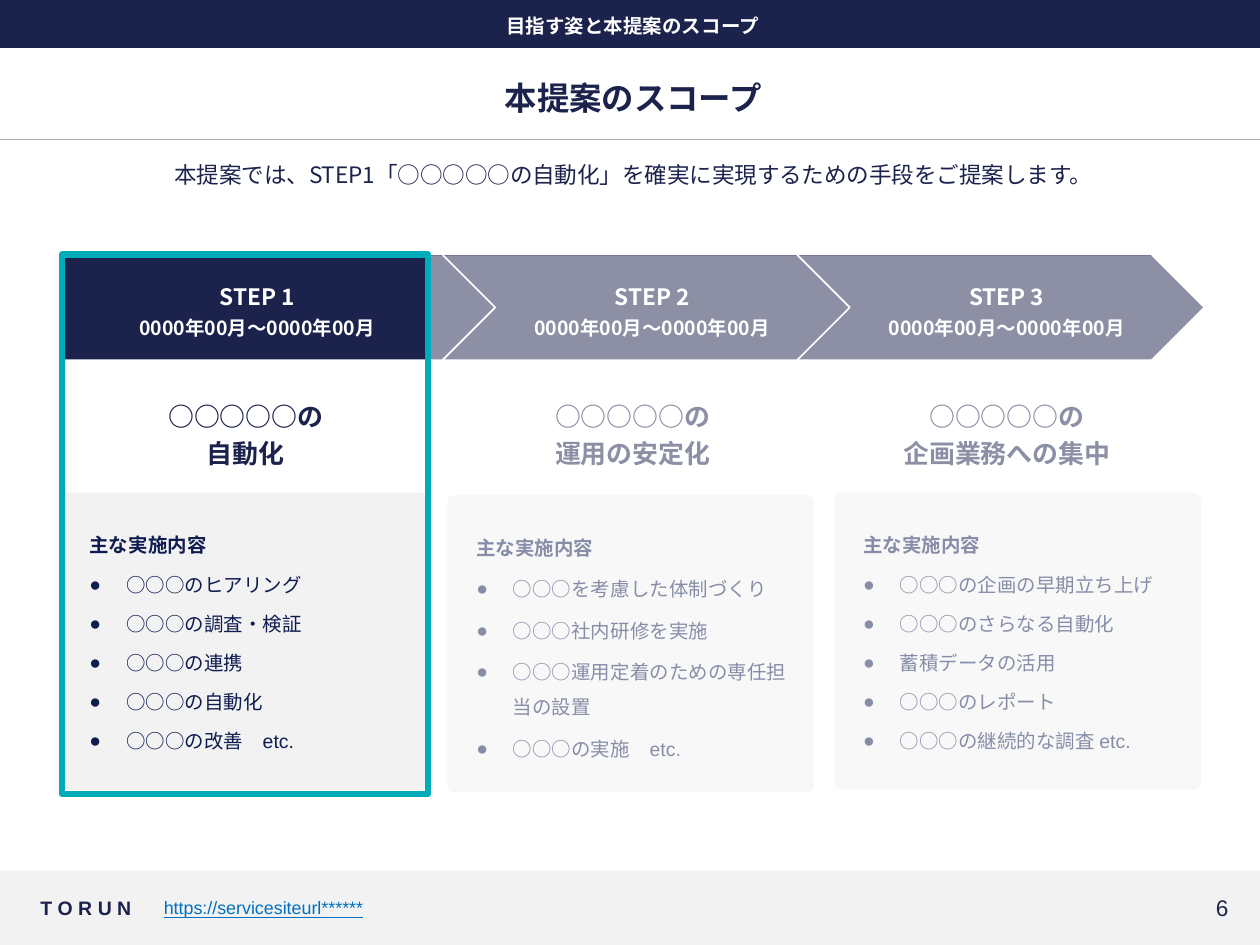
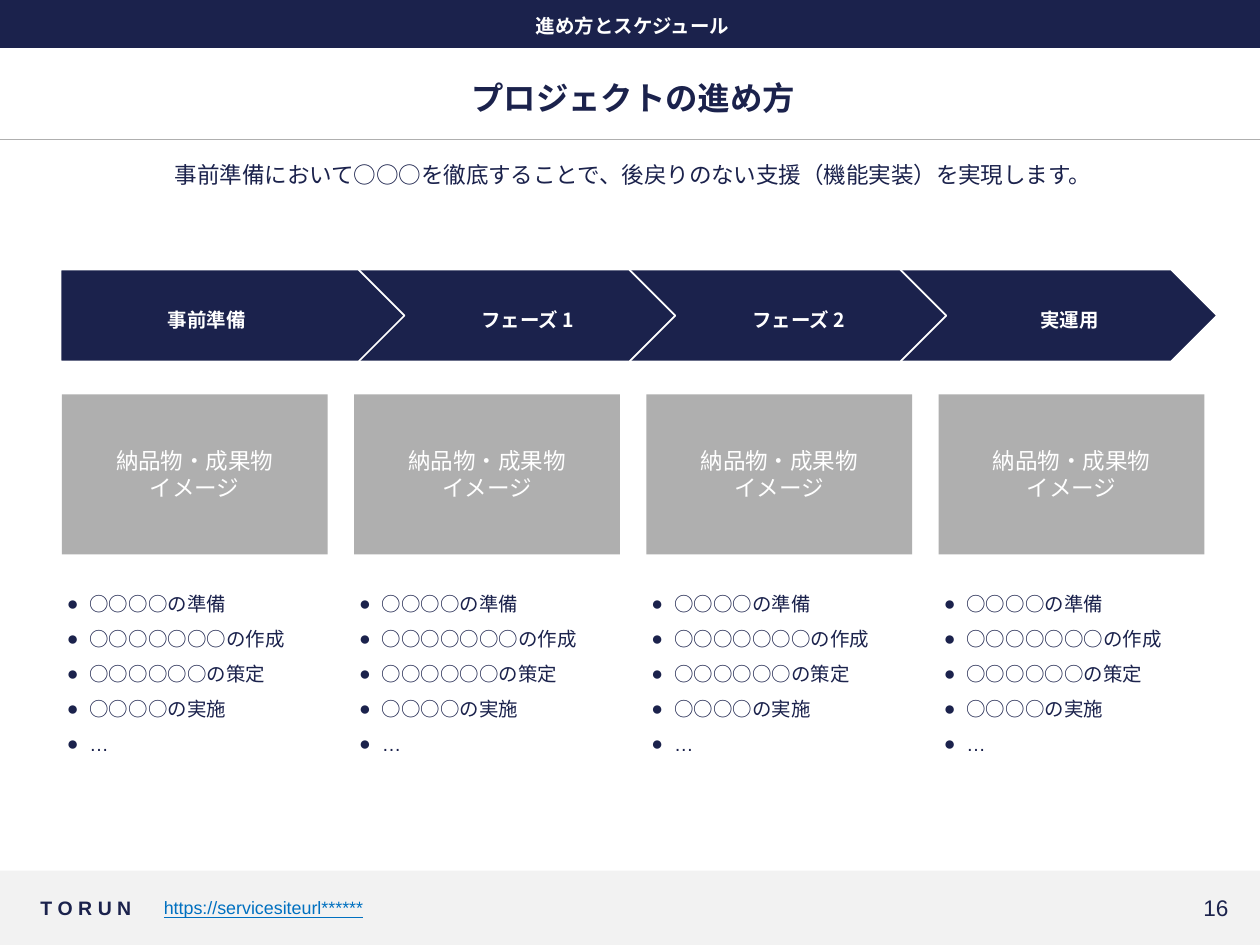
from dataclasses import dataclass
from typing import NamedTuple

from lxml import etree
from pptx import Presentation
from pptx.dml.color import RGBColor
from pptx.enum.shapes import MSO_CONNECTOR, MSO_SHAPE
from pptx.enum.text import MSO_ANCHOR, PP_ALIGN
from pptx.oxml.ns import qn
from pptx.util import Emu, Inches, Pt

RECT, ROUND, PLATE = MSO_SHAPE.RECTANGLE, MSO_SHAPE.ROUNDED_RECTANGLE, MSO_SHAPE.PENTAGON
LINE = MSO_CONNECTOR.STRAIGHT
LEFT, MID, RIGHT = PP_ALIGN.LEFT, PP_ALIGN.CENTER, PP_ALIGN.RIGHT
TOP, CENTER = MSO_ANCHOR.TOP, MSO_ANCHOR.MIDDLE

HEX = {"navy": "1B224C", "ink": "0F1C50", "white": "FFFFFF", "pale": "F2F2F2",
       "gray": "AFAFAF", "teal": "00ACBA", "link": "0070C0"}
SANS, ARIAL = "Noto Sans CJK JP", "Arial"
SMALL, BODY, GOAL, TITLE = 11.1, 12.9, 14.8, 18.5
AFTER = 3.7

# The slide is a grid of 100 columns by 75 rows
COLS, ROWS = 100, 75
prs = Presentation()
prs.slide_width, prs.slide_height = Inches(10), Inches(7.5)
COL, ROW = prs.slide_width / COLS, prs.slide_height / ROWS


class Box(NamedTuple):
    x: float
    y: float
    w: float
    h: float

    def emu(self) -> list[Emu]:
        units = (COL, ROW, COL, ROW)
        return [Emu(round(part * unit)) for part, unit in zip(self, units)]


@dataclass
class Style:
    size: float = BODY
    tone: str = "navy"
    bold: bool = False
    face: str = SANS
    align: PP_ALIGN = LEFT
    after: float = 0
    lead: float = 1
    left: float = 0
    first: float = 0
    dot: bool = False
    under: bool = False


@dataclass
class Step:
    name: str
    goal: str
    goal_x: float
    card_y: float
    lead: float
    tasks: list[str]


# Text and shape helpers
def write(para, text: str, style: Style) -> None:
    para.text = text
    para.alignment = style.align
    para.space_after = Pt(style.after)
    para.line_spacing = style.lead
    props = para._p.get_or_add_pPr()
    props.set("marL", str(round(style.left * COL)))
    props.set("indent", str(round(style.first * COL)))
    if style.dot:
        color = etree.SubElement(props, qn("a:buClr"))
        etree.SubElement(color, qn("a:srgbClr"), val=HEX[style.tone])
        etree.SubElement(props, qn("a:buFont"), typeface=ARIAL)
        etree.SubElement(props, qn("a:buChar"), char="●")
    for run in para.runs:
        font = run.font
        font.size, font.bold, font.name = Pt(style.size), style.bold, style.face
        font.underline = style.under
        font.color.rgb = RGBColor.from_string(HEX[style.tone])
        latin = run._r.rPr.find(qn("a:latin"))
        latin.addnext(etree.Element(qn("a:ea"), typeface=SANS))


def fill_text(frame, lines: list[tuple[str, Style]], anchor: MSO_ANCHOR) -> None:
    frame.word_wrap, frame.vertical_anchor = True, anchor
    for i, (text, style) in enumerate(lines):
        para = frame.add_paragraph() if i else frame.paragraphs[0]
        write(para, text, style)


def add_text(slide, box: Box, lines: list[tuple[str, Style]],
             anchor: MSO_ANCHOR = CENTER, wrap: bool = True) -> None:
    frame = slide.shapes.add_textbox(*box.emu()).text_frame
    frame.margin_left = frame.margin_right = Inches(0.04)
    frame.margin_top = frame.margin_bottom = Inches(0.04)
    fill_text(frame, lines, anchor)
    frame.word_wrap = wrap


def add_form(slide, kind: MSO_SHAPE, box: Box, fill: str = "",
             edge: str = "", width: float = 1):
    form = slide.shapes.add_shape(kind, *box.emu())
    form.shadow.inherit = False
    if fill:
        form.fill.solid()
        form.fill.fore_color.rgb = RGBColor.from_string(HEX[fill])
    else:
        form.fill.background()
    if edge:
        form.line.color.rgb = RGBColor.from_string(HEX[edge])
        form.line.width = Pt(width)
    else:
        form.line.fill.background()
    return form


def add_plates(slide, first: Box, pitch: float, count: int) -> None:
    # Drawn from the right so that each tip lies over the next plate
    for i in reversed(range(count)):
        box = first._replace(x=first.x + i * pitch)
        add_form(slide, PLATE, box, "navy", "white")


# Shared frame: band, title, rule, lead text and footer
def add_page(topic: str, title: str, lead: str, number: int):
    slide = prs.slides.add_slide(prs.slide_layouts[6])
    add_form(slide, RECT, Box(0, 69.1, COLS, 5.9), "pale")
    add_form(slide, RECT, Box(0, -0.1, COLS, 3.9), "navy")
    start, end = Box(0, 11.1, COLS, 0).emu()[:2], Box(COLS, 11.1, 0, 0).emu()[:2]
    rule = slide.shapes.add_connector(LINE, *start, *end)
    rule.line.color.rgb = RGBColor.from_string(HEX["gray"])
    rule.line.width = Pt(0.5)
    etree.SubElement(rule._element.spPr, qn("a:effectLst"))

    hang = {"align": MID, "left": 1.5, "first": -2.2, "after": AFTER}
    add_text(slide, Box(4.8, 0.7, 90.8, 2.8),
             [(topic, Style(SMALL, "white", True, **hang))], TOP)
    add_text(slide, Box(4.8, 5.8, 90.9, 3.9),
             [(title, Style(TITLE, bold=True, align=MID))])
    add_text(slide, Box(4.8, 12.4, 90.9, 6.3), [(lead, Style(**hang))], TOP)

    foot = Box(2.8, 70.5, 9.8, 3.1)
    add_text(slide, foot, [("T O R U N", Style(SMALL, bold=True, face=ARIAL))], wrap=False)
    add_text(slide, foot._replace(x=12.6, w=72.8),
             [("https://servicesiteurl******", Style(10.2, "link", face=ARIAL, under=True))])
    add_text(slide, foot._replace(x=88.1), [(str(number), Style(face=ARIAL, align=RIGHT))])
    return slide


# Scope slide
STEPS = [
    Step("STEP 1", "自動化", 8.6, 39.1, 1.4,
         ["○○○のヒアリング", "○○○の調査・検証", "○○○の連携", "○○○の自動化",
          "○○○の改善　etc."]),
    Step("STEP 2", "運用の安定化", 39.3, 39.3, 1.5,
         ["○○○を考慮した体制づくり", "○○○社内研修を実施",
          "○○○運用定着のための専任担当の設置", "○○○の実施　etc."]),
    Step("STEP 3", "企画業務への集中", 69, 39.1, 1.4,
         ["○○○の企画の早期立ち上げ", "○○○のさらなる自動化", "蓄積データの活用",
          "○○○のレポート", "○○○の継続的な調査 etc."]),
]


def draw_scope() -> None:
    slide = add_page("目指す姿と本提案のスコープ", "本提案のスコープ",
                     "本提案では、STEP1「○○○○○の自動化」を確実に実現するための手段をご提案します。", 6)
    plate, pitch = Box(4.8, 20.2, 34.5, 8.4), 28.15
    add_plates(slide, plate, pitch, len(STEPS))
    label = Style(BODY, "white", True, align=MID, after=AFTER)
    date = Style(SMALL, "white", True, align=MID, after=AFTER)
    goal = Style(GOAL, bold=True, align=MID, after=AFTER)
    for i, step in enumerate(STEPS):
        card = Box(4.8 + i * 30.7, step.card_y, 29.1, 23.6)
        add_form(slide, ROUND, card, "pale").adjustments[0] = 0.024
        shift = 7.9 if i else 4.7
        add_text(slide, Box(plate.x + i * pitch + shift, 21.6, 21.8, 6.2),
                 [(step.name, label), ("0000年00月～0000年00月", date)])
        add_text(slide, Box(step.goal_x, 30.5, 21.8, 8),
                 [("○○○○○の", goal), (step.goal, goal)])
        head = Style(SMALL, "ink", True, ARIAL, after=AFTER, lead=step.lead)
        item = Style(SMALL, "ink", face=ARIAL, after=AFTER, lead=step.lead,
                     left=2.9, first=-2.9, dot=True)
        add_text(slide, Box(card.x + 1.9, 41.2, 25.4, 19.6),
                 [("主な実施内容", head)] + [(task, item) for task in step.tasks], TOP)

    # Veil over the later steps, frame around the first
    veil = add_form(slide, RECT, Box(34.2, 20.3, 61.7, 42.8), "white")
    tone = veil._element.spPr.find(qn("a:solidFill"))[0]
    etree.SubElement(tone, qn("a:alpha"), val="50000")
    add_form(slide, RECT, Box(4.9, 20.2, 29.1, 42.8), edge="teal", width=3.5)


# Schedule slide
PHASES = ["事前準備", "フェーズ 1", "フェーズ 2", "実運用"]
TASKS = ["○○○○の準備", "○○○○○○○の作成", "○○○○○○の策定", "○○○○の実施", "…"]


def draw_plan() -> None:
    slide = add_page("進め方とスケジュール", "プロジェクトの進め方",
                     "事前準備において○○○を徹底することで、後戻りのない支援（機能実装）を実現します。", 16)
    plate, pitch = Box(4.8, 21.4, 27.3, 7.3), 21.5
    add_plates(slide, plate, pitch, len(PHASES))
    label = Style(SMALL, "white", True, align=MID, after=AFTER)
    sample = Style(BODY, "white", align=MID)
    item = Style(SMALL, face=ARIAL, lead=1.5, left=1.8, first=-1.8, dot=True)
    for i, phase in enumerate(PHASES):
        shift = 7.4 if i else 3.4
        add_text(slide, Box(plate.x + i * pitch + shift, 22.6, 16.4, 5.5), [(phase, label)])
        cell = Box(4.9 + i * 23.2, 31.3, 21.1, 12.7)
        form = add_form(slide, RECT, cell, "gray")
        fill_text(form.text_frame, [("納品物・成果物", sample), ("イメージ", sample)], CENTER)
        add_text(slide, cell._replace(y=45.7, h=16.4), [(task, item) for task in TASKS], TOP)


def main() -> None:
    draw_scope()
    draw_plan()
    prs.save("out.pptx")


if __name__ == "__main__":
    main()
